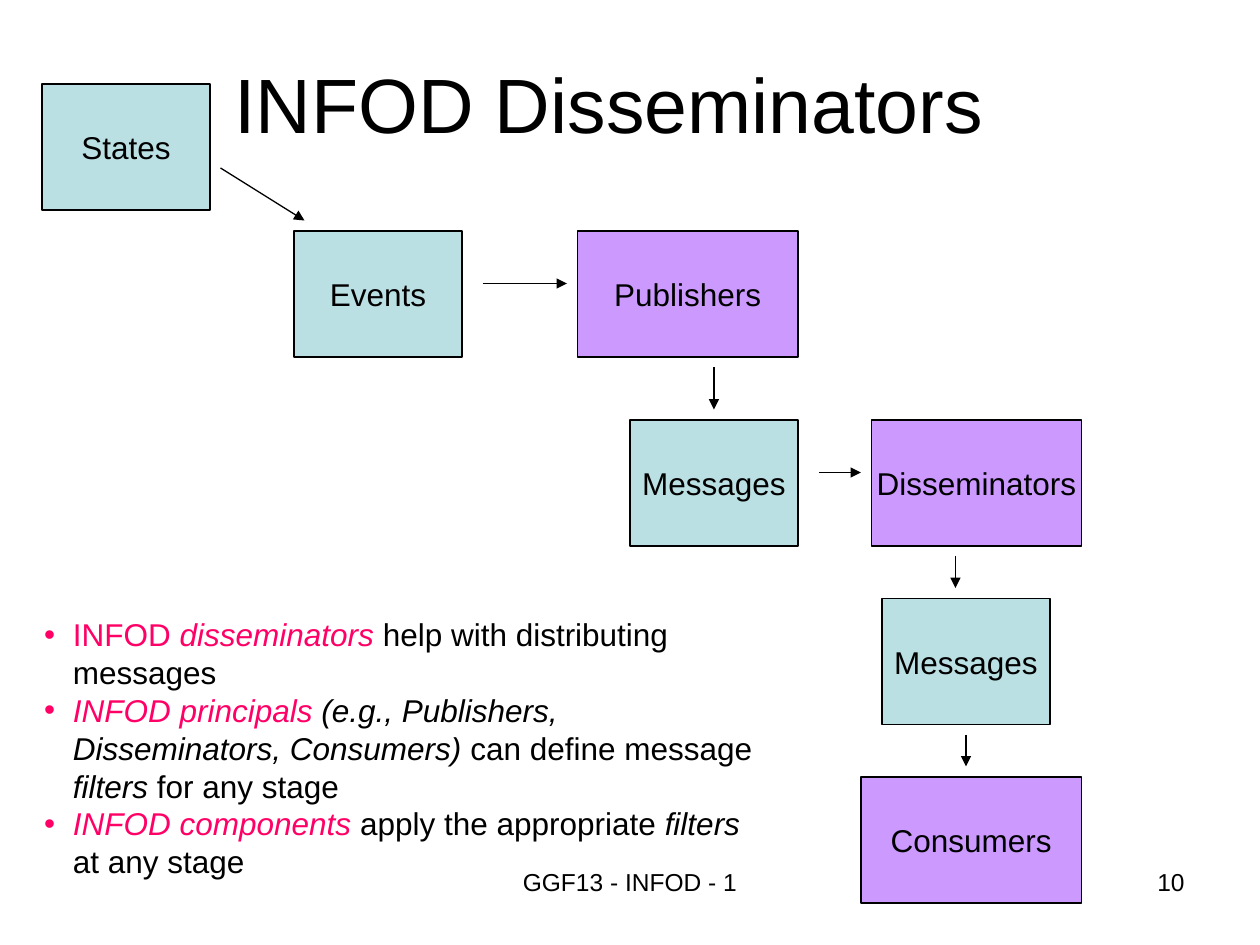
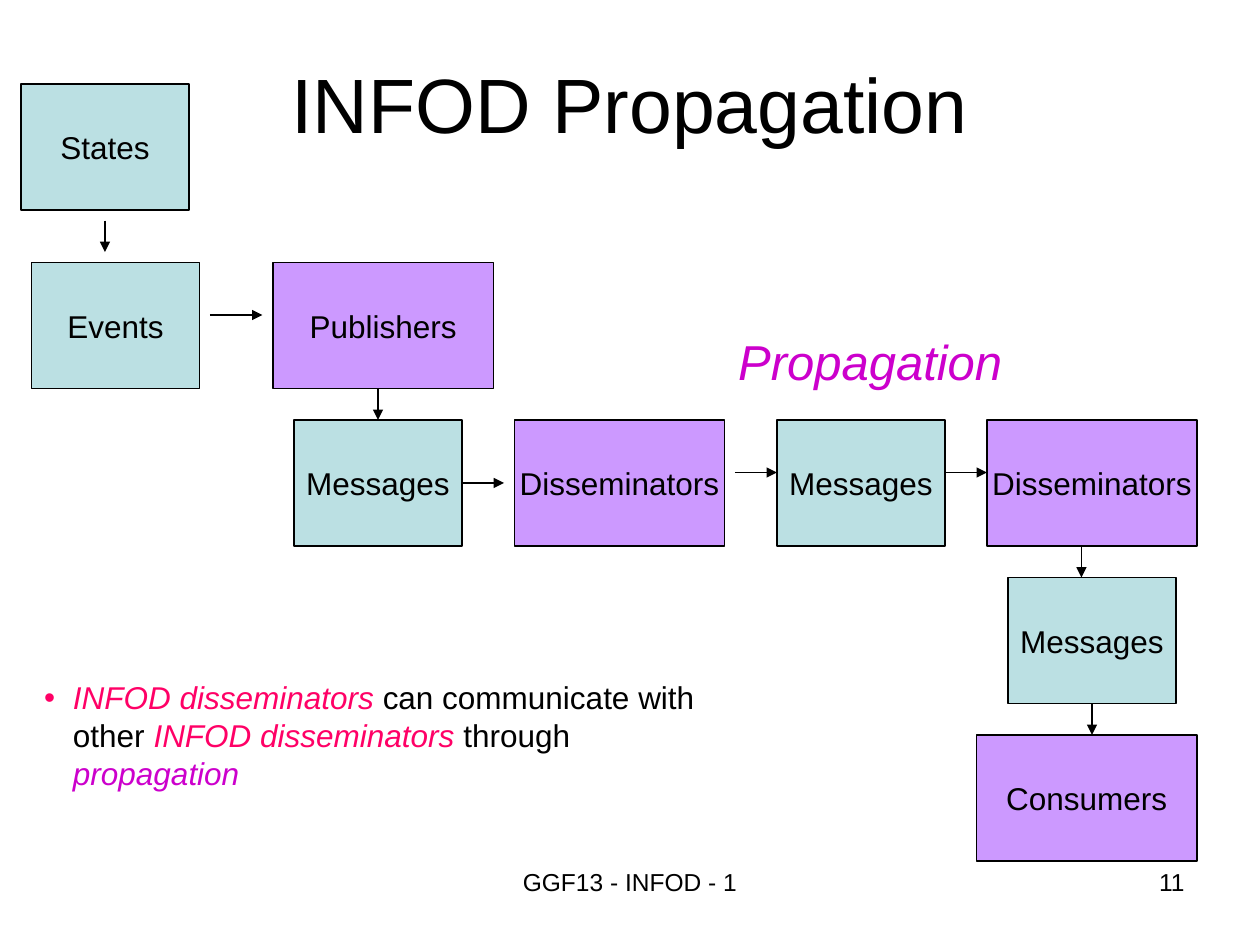
from lxml import etree
from pptx import Presentation
from pptx import util as u
from pptx.dml.color import RGBColor
from pptx.enum import shapes, text
from pptx.oxml import ns

PX = 9525
FONT = "Arial"
BLACK = RGBColor(0x00, 0x00, 0x00)
DATA = RGBColor(0xBB, 0xE0, 0xE3)
ACTOR = RGBColor(0xCC, 0x99, 0xFF)
PINK = RGBColor(0xFF, 0x00, 0x66)
MAGENTA = RGBColor(0xCC, 0x00, 0xCC)
BOX_H = 96
BOX_STYLES = {
    "States": (DATA, 128),
    "Events": (DATA, 128),
    "Messages": (DATA, 128),
    "Publishers": (ACTOR, 168),
    "Disseminators": (ACTOR, 160),
    "Consumers": (ACTOR, 168),
}
TOP, LEFT, BOTTOM, RIGHT = range(4)


def px(n):
    """Turn whole pixels into EMU."""
    return u.Emu(n * PX)


def place(sp, left, top, width, height):
    """Move and size a shape in pixels."""
    sp.left, sp.top, sp.width, sp.height = map(px, (left, top, width, height))


def style(p, size, color=BLACK, italic=None, align=None):
    """Set the font and alignment of a paragraph."""
    p.font.name = FONT
    p.font.size = u.Pt(size)
    p.font.color.rgb = color
    p.font.italic = italic
    p.alignment = align


def add_title(slide, title, extra_right=0):
    """Fill the title placeholder."""
    sp = slide.shapes.title
    place(sp, 48, 29, 864, 99)
    tf = sp.text_frame
    tf.text = title
    tf.auto_size = text.MSO_AUTO_SIZE.NONE
    tf.vertical_anchor = text.MSO_ANCHOR.MIDDLE
    tf.margin_right = u.Inches(0.1) + px(extra_right)
    style(tf.paragraphs[0], 44, align=text.PP_ALIGN.CENTER)


def add_label(slide, label, rect, size, color=BLACK, italic=None, align=None, wrap=True):
    """Add a one-paragraph text box."""
    sp = slide.shapes.add_textbox(*map(px, rect))
    tf = sp.text_frame
    tf.word_wrap = wrap
    tf.text = label
    style(tf.paragraphs[0], size, color, italic, align)


def add_footer(slide, number):
    """Add the footer text and slide number."""
    add_label(slide, "GGF13 - INFOD - 1", (328, 656, 304, 50), 14,
              align=text.PP_ALIGN.CENTER)
    add_label(slide, str(number), (688, 656, 224, 50), 14, align=text.PP_ALIGN.RIGHT)


def add_box(slide, name, left, top):
    """Add a labelled stage box and return it."""
    fill, width = BOX_STYLES[name]
    sp = slide.shapes.add_shape(shapes.MSO_SHAPE.RECTANGLE,
                                *map(px, (left, top, width, BOX_H)))
    sp.shadow.inherit = False
    sp.fill.solid()
    sp.fill.fore_color.rgb = fill
    sp.line.color.rgb = BLACK
    sp.line.width = u.Pt(0.75)
    tf = sp.text_frame
    tf.word_wrap = False
    tf.vertical_anchor = text.MSO_ANCHOR.MIDDLE
    tf.text = name
    style(tf.paragraphs[0], 18, align=text.PP_ALIGN.CENTER)
    return sp


def add_arrow(slide, start, end):
    """Add an arrow between two points and return it."""
    line = slide.shapes.add_connector(shapes.MSO_CONNECTOR.STRAIGHT,
                                      *map(px, start + end))
    line.line.color.rgb = BLACK
    line.line.width = u.Pt(0.75)
    ln = line.line._get_or_add_ln()
    etree.SubElement(ln, ns.qn("a:tailEnd"), type="triangle")
    etree.SubElement(line._element.spPr, ns.qn("a:effectLst"))
    return line


def add_bullet(p):
    """Give a paragraph a pink bullet with a hanging indent."""
    p_pr = p._p.get_or_add_pPr()
    p_pr.set("marL", str(px(22)))
    p_pr.set("indent", str(px(-22)))
    color = etree.SubElement(p_pr, ns.qn("a:buClr"))
    etree.SubElement(color, ns.qn("a:srgbClr"), val=str(PINK))
    etree.SubElement(p_pr, ns.qn("a:buChar"), char="•")


def add_list(slide, rect, items):
    """Fill the body placeholder with items of (text, colour, italic) runs."""
    sp = slide.placeholders[1]
    place(sp, *rect)
    tf = sp.text_frame
    tf.auto_size = text.MSO_AUTO_SIZE.SHAPE_TO_FIT_TEXT
    for i, runs in enumerate(items):
        p = tf.add_paragraph() if i else tf.paragraphs[0]
        add_bullet(p)
        p.space_before = u.Pt(0)
        p.font.name = FONT
        p.font.size = u.Pt(18)
        for words, color, italic in runs:
            r = p.add_run()
            r.text = words
            r.font.color.rgb = color
            r.font.italic = italic


def new_slide(prs, title, number, extra_right=0):
    """Add a slide with its title and footer."""
    slide = prs.slides.add_slide(prs.slide_layouts[1])
    add_title(slide, title, extra_right)
    add_footer(slide, number)
    return slide


def build_disseminators(prs):
    """Build the slide on disseminators."""
    slide = new_slide(prs, "INFOD Disseminators", 10, extra_right=32)
    for name, left, top in (
        ("States", 32, 64),
        ("Events", 224, 176),
        ("Publishers", 440, 176),
        ("Messages", 480, 320),
        ("Disseminators", 664, 320),
        ("Messages", 672, 456),
        ("Consumers", 656, 592),
    ):
        add_box(slide, name, left, top)
    for start, end in (
        ((168, 128), (232, 168)),
        ((368, 216), (432, 216)),
        ((544, 280), (544, 312)),
        ((624, 360), (656, 360)),
        ((728, 424), (728, 448)),
        ((736, 560), (736, 584)),
    ):
        add_arrow(slide, start, end)
    add_list(slide, (24, 464, 568, 211), [
        [("INFOD ", PINK, False), ("disseminators", PINK, True),
         (" help with distributing messages", BLACK, False)],
        [("INFOD principals", PINK, True),
         (" (e.g., Publishers, Disseminators, Consumers)", BLACK, True),
         (" can define message ", BLACK, False), ("filters", BLACK, True),
         (" for any stage", BLACK, False)],
        [("INFOD components", PINK, True), (" apply the appropriate ", BLACK, False),
         ("filters ", BLACK, True), ("at any stage", BLACK, False)],
    ])


def build_propagation(prs):
    """Build the slide on propagation."""
    slide = new_slide(prs, "INFOD Propagation", 11)
    add_box(slide, "States", 16, 64)
    add_box(slide, "Events", 24, 200)
    add_box(slide, "Publishers", 208, 200)
    published = add_box(slide, "Messages", 224, 320)
    add_box(slide, "Disseminators", 392, 320)
    add_box(slide, "Messages", 592, 320)
    add_box(slide, "Disseminators", 752, 320)
    delivered = add_box(slide, "Messages", 768, 440)
    add_box(slide, "Consumers", 744, 560)

    for start, end in (
        ((80, 168), (80, 192)),
        ((160, 240), (200, 240)),
        ((560, 360), (592, 360)),
        ((720, 360), (752, 360)),
        ((824, 416), (824, 440)),
    ):
        add_arrow(slide, start, end)
    add_arrow(slide, (288, 296), (288, 320)).end_connect(published, TOP)
    add_arrow(slide, (352, 368), (384, 368)).begin_connect(published, RIGHT)
    add_arrow(slide, (832, 536), (832, 560)).begin_connect(delivered, BOTTOM)

    add_label(slide, "Propagation", (553, 248, 220, 55), 28, MAGENTA,
              italic=True, wrap=False)
    add_list(slide, (24, 512, 544, 67), [
        [("INFOD disseminators", PINK, True),
         (" can communicate with other ", BLACK, False),
         ("INFOD disseminators", PINK, True), (" through ", BLACK, False),
         ("propagation", MAGENTA, True)],
    ])


def main():
    """Build and save the presentation."""
    prs = Presentation()
    prs.slide_width, prs.slide_height = px(960), px(720)
    build_disseminators(prs)
    build_propagation(prs)
    prs.save("out.pptx")


if __name__ == "__main__":
    main()
